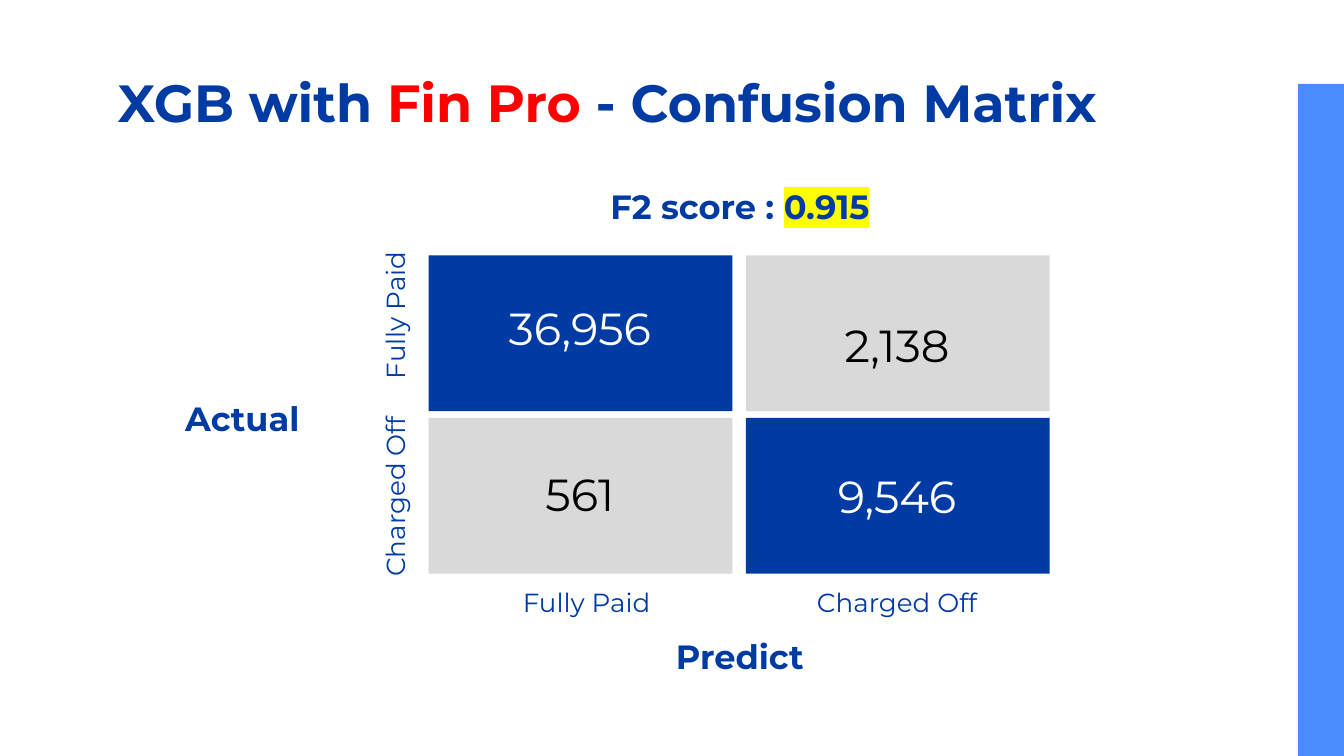
from lxml.etree import Element
from pptx import Presentation
from pptx.dml.color import RGBColor
from pptx.enum.shapes import MSO_SHAPE
from pptx.enum.text import MSO_ANCHOR, PP_ALIGN
from pptx.oxml.ns import qn
from pptx.util import Inches, Pt

SLIDE_WIDTH = 10
SLIDE_HEIGHT = SLIDE_WIDTH * 9 / 16
FONT = "Montserrat"
COLORS = {
    "navy": "003BA3",
    "sky": "4A8CFF",
    "red": "FF0000",
    "yellow": "FFFF00",
    "gray": "D9D9D9",
    "white": "FFFFFF",
    "black": "000000",
}


def add_rectangle(slide, left, top, width, height, color):
    shape = slide.shapes.add_shape(
        MSO_SHAPE.RECTANGLE, Inches(left), Inches(top), Inches(width), Inches(height)
    )
    shape.shadow.inherit = False
    shape.fill.solid()
    shape.fill.fore_color.rgb = RGBColor.from_string(COLORS[color])
    shape.line.fill.background()


def add_highlight(run, color):
    highlight = Element(qn("a:highlight"))
    highlight.append(Element(qn("a:srgbClr"), val=COLORS[color]))
    run.font.fill._xPr.find(qn("a:solidFill")).addnext(highlight)


def add_text(slide, box, text, size=18, color="navy", bold=False, align=PP_ALIGN.CENTER,
             anchor=MSO_ANCHOR.TOP, rotation=0):
    shape = slide.shapes.add_textbox(*(Inches(length) for length in box))
    shape.rotation = rotation
    frame = shape.text_frame
    frame.word_wrap = True
    frame.vertical_anchor = anchor
    frame.margin_left = frame.margin_right = Inches(0.1)
    frame.margin_top = frame.margin_bottom = Inches(0.1)
    paragraph = frame.paragraphs[0]
    paragraph.alignment = align
    parts = [(text, {})] if isinstance(text, str) else text
    for part, style in parts:
        run = paragraph.add_run()
        run.text = part
        run.font.name = FONT
        run.font.size = Pt(size)
        run.font.bold = bold
        run.font.color.rgb = RGBColor.from_string(COLORS[style.get("color", color)])
        if "highlight" in style:
            add_highlight(run, style["highlight"])


def add_header(slide, left, top, width, height):
    title = [("XGB with ", {}), ("Fin Pro ", {"color": "red"}), ("- Confusion Matrix", {})]
    add_text(slide, (left, top, width, height), title, size=28, bold=True, align=PP_ALIGN.LEFT)


def add_matrix(slide, left, top, width, height):
    cell_width, cell_height = 2.26, 1.16
    column_step, row_step = width - cell_width, height - cell_height
    values = [
        [("36,956", 0.24, MSO_ANCHOR.TOP), ("2,138", 0.12, MSO_ANCHOR.MIDDLE)],
        [("561", 0.26, MSO_ANCHOR.TOP), ("9,546", 0.28, MSO_ANCHOR.TOP)],
    ]
    for row, entries in enumerate(values):
        for column, (value, offset, anchor) in enumerate(entries):
            x, y = left + column * column_step, top + row * row_step
            correct = row == column
            add_rectangle(slide, x, y, cell_width, cell_height, "navy" if correct else "gray")
            add_text(slide, (x + 0.16, y + offset, 1.93, 1.08), value, size=24,
                     color="white" if correct else "black", anchor=anchor)


def add_axes(slide, left, top, width, height):
    classes = ["Fully Paid", "Charged Off"]
    for name, x, y in zip(classes, (0.35, 2.66), (0.26, 1.61)):
        add_text(slide, (left + x, top + height - 0.01, 1.65, 0.37), name, size=14)
        add_text(slide, (left - 1.11, top + y, 1.65, 0.37), name, size=14, rotation=270)
    center_left = left + width / 2 - 1.46
    score = [("F2 score : ", {}), ("0.915", {"highlight": "yellow"})]
    add_text(slide, (center_left, top - 0.62, 2.93, 0.45), score, bold=True)
    add_text(slide, (center_left, top + height + 0.36, 2.93, 0.45), "Predict", bold=True)
    add_text(slide, (left - 1.91, top + 0.96, 1.65, 0.45), "Actual", bold=True,
             align=PP_ALIGN.LEFT)


def main():
    presentation = Presentation()
    presentation.slide_width = Inches(SLIDE_WIDTH)
    presentation.slide_height = Inches(SLIDE_HEIGHT)
    slide = presentation.slides.add_slide(presentation.slide_layouts[6])
    add_rectangle(slide, SLIDE_WIDTH - 0.34, SLIDE_HEIGHT - 5, 0.34, 5, "sky")
    add_header(slide, 0.78, 0.42, 8.43, 0.71)
    matrix_box = (3.19, 1.9, 4.62, 2.37)
    add_matrix(slide, *matrix_box)
    add_axes(slide, *matrix_box)
    presentation.save("out.pptx")


if __name__ == "__main__":
    main()
